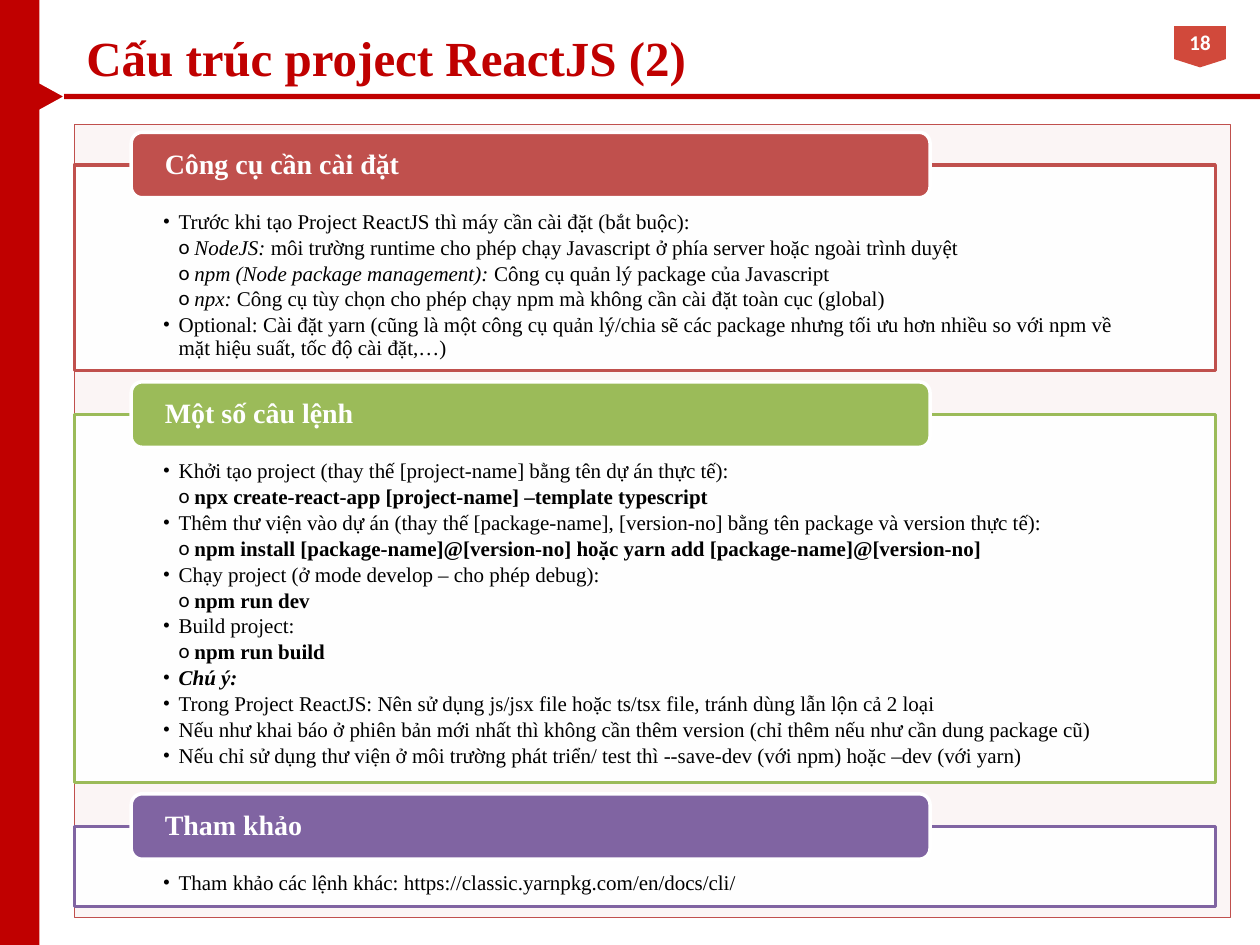
import pptx
import pptx.dml.color
import pptx.enum.shapes
import pptx.enum.text
import pptx.oxml.ns
import pptx.util
from lxml import etree

Pt = pptx.util.Pt
RGBColor = pptx.dml.color.RGBColor
SHAPE = pptx.enum.shapes.MSO_SHAPE
ANCHOR = pptx.enum.text.MSO_ANCHOR
ALIGN = pptx.enum.text.PP_ALIGN
qn = pptx.oxml.ns.qn

WHITE = RGBColor(0xFF, 0xFF, 0xFF)
BLACK = RGBColor(0, 0, 0)
CRIMSON = RGBColor(0xC0, 0, 0)
BADGE_RED = RGBColor(0xD1, 0x49, 0x3B)
PINK = RGBColor(0xF2, 0xDC, 0xDB)
RED = RGBColor(0xC0, 0x50, 0x4D)
GREEN = RGBColor(0x9B, 0xBB, 0x59)
PURPLE = RGBColor(0x80, 0x64, 0xA2)

SERIF = "Times New Roman"
SANS = "Calibri"
PANEL_LEFT, PANEL_WIDTH, PANEL_GAP = 42.5, 652, 25.2
HEADING_RISE = 18.7
BULLETS = {0: "•", 1: "o"}
BOLD = {"bold": True}
ITALIC = {"italic": True}

# Each section: heading, colour, panel height, items of (level, [(text, format), ...])
SECTIONS = [
    ("Công cụ cần cài đặt", RED, 117.4, [
        (0, [("Trước khi tạo Project ReactJS thì máy cần cài đặt (bắt buộc):", {})]),
        (1, [("NodeJS: ", ITALIC),
             ("môi trường runtime cho phép chạy Javascript ở phía server hoặc ngoài trình duyệt", {})]),
        (1, [("npm (Node package management): ", ITALIC),
             ("Công cụ quản lý package của Javascript", {})]),
        (1, [("npx: ", ITALIC),
             ("Công cụ tùy chọn cho phép chạy npm mà không cần cài đặt toàn cục (global)", {})]),
        (0, [("Optional: Cài đặt yarn (cũng là một công cụ quản lý/chia sẽ các package nhưng "
              "tối ưu hơn nhiều so với npm về mặt hiệu suất, tốc độ cài đặt,…)", {})]),
    ]),
    ("Một số câu lệnh", GREEN, 210.2, [
        (0, [("Khởi tạo project (thay thế [project-name] bằng tên dự án thực tế):", {})]),
        (1, [("npx create-react-app [project-name] –template typescript", BOLD)]),
        (0, [("Thêm thư viện vào dự án (thay thế [package-name], [version-no] "
              "bằng tên package và version thực tế):", {})]),
        (1, [("npm install [package-name]@[version-no] hoặc "
              "yarn add [package-name]@[version-no]", BOLD)]),
        (0, [("Chạy project (ở mode develop – cho phép debug):", {})]),
        (1, [("npm run dev", BOLD)]),
        (0, [("Build project:", {})]),
        (1, [("npm run build", BOLD)]),
        (0, [("Chú ý:", {"bold": True, "italic": True})]),
        (0, [("Trong Project ReactJS: Nên sử dụng js/jsx file hoặc ts/tsx file, "
              "tránh dùng lẫn lộn cả 2 loại", {})]),
        (0, [("Nếu như khai báo ở phiên bản mới nhất thì không cần thêm version "
              "(chỉ thêm nếu như cần dung package cũ)", {})]),
        (0, [("Nếu chỉ sử dụng thư viện ở môi trường phát triển/ test thì "
              "--save-dev (với npm) hoặc –dev (với yarn)", {})]),
    ]),
    ("Tham khảo", PURPLE, 45.8, [
        (0, [("Tham khảo các lệnh khác: https://classic.yarnpkg.com/en/docs/cli/", {})]),
    ]),
]


def add_box(slide, kind, left, top, width, height, fill, line=None, line_width=2, opacity=100):
    shape = slide.shapes.add_shape(kind, Pt(left), Pt(top), Pt(width), Pt(height))
    shape.shadow.inherit = False
    shape.fill.solid()
    shape.fill.fore_color.rgb = fill
    if opacity < 100:
        color = shape.fill._xPr.find(qn("a:solidFill"))[0]
        etree.SubElement(color, qn("a:alpha"), val=str(opacity * 1000))
    if line is None:
        shape.line.fill.background()
    else:
        shape.line.color.rgb = line
        shape.line.width = Pt(line_width)
    return shape


def set_frame(shape, anchor, left=7.2, top=3.6, right=7.2, bottom=3.6):
    frame = shape.text_frame
    frame.word_wrap = True
    frame.vertical_anchor = anchor
    frame.margin_left, frame.margin_top = Pt(left), Pt(top)
    frame.margin_right, frame.margin_bottom = Pt(right), Pt(bottom)
    return frame


def add_text(paragraph, text, size=12, font=SERIF, color=BLACK, bold=False, italic=False,
             align=ALIGN.LEFT):
    paragraph.alignment = align
    run = paragraph.add_run()
    run.text = text
    run.font.size = Pt(size)
    run.font.name = font
    run.font.color.rgb = color
    run.font.bold = bold
    run.font.italic = italic


def set_bullet(paragraph, level):
    paragraph.level = level
    paragraph.line_spacing = 0.9
    paragraph.space_after = Pt(1.8)
    properties = paragraph._p.get_or_add_pPr()
    properties.set("marL", str(Pt(9 * (level + 1))))
    properties.set("indent", str(Pt(-9)))
    etree.SubElement(properties, qn("a:buFont"), typeface=SANS if level else SERIF)
    etree.SubElement(properties, qn("a:buChar"), char=BULLETS[level])


def add_frame(slide):
    """Draw the backdrop, side bar, marker, page badge, rule and title."""
    add_box(slide, SHAPE.RECTANGLE, PANEL_LEFT, 71, 660.5, 453.3, PINK, RED, 0.5, opacity=26)
    marker = add_box(slide, SHAPE.ISOSCELES_TRIANGLE, 17.2, 45.2, 22, 20, CRIMSON, WHITE)
    marker.rotation = 90
    add_box(slide, SHAPE.RECTANGLE, 0, 0, 22.6, 540, CRIMSON)
    badge = add_box(slide, SHAPE.FLOWCHART_OFFPAGE_CONNECTOR, 671, 15, 29.5, 23.5, BADGE_RED)
    number = set_frame(badge, ANCHOR.MIDDLE, 0, 0, 0, 1).paragraphs[0]
    add_text(number, "18", font=SANS, color=WHITE, bold=True, align=ALIGN.CENTER)
    add_box(slide, SHAPE.RECTANGLE, 36.7, 53.7, 683.3, 3, CRIMSON)
    title = slide.shapes.add_textbox(Pt(PANEL_LEFT), Pt(12), Pt(PANEL_WIDTH), Pt(41))
    add_text(set_frame(title, ANCHOR.TOP, left=6.8).paragraphs[0], "Cấu trúc project ReactJS (2)",
             size=28, color=CRIMSON, bold=True)


def add_section(slide, top, heading, color, height, items):
    panel = add_box(slide, SHAPE.RECTANGLE, PANEL_LEFT, top, PANEL_WIDTH, height,
                    WHITE, color, opacity=90)
    frame = set_frame(panel, ANCHOR.TOP, 50.6, 26.4, 50.6, 2)
    for index, (level, runs) in enumerate(items):
        paragraph = frame.add_paragraph() if index else frame.paragraphs[0]
        set_bullet(paragraph, level)
        for text, style in runs:
            add_text(paragraph, text, **style)
    tab = add_box(slide, SHAPE.ROUNDED_RECTANGLE, 75, top - HEADING_RISE, 456.5, 37.4,
                  color, WHITE)
    label = set_frame(tab, ANCHOR.MIDDLE, 17.4, 0, 17.4, 0).paragraphs[0]
    label.line_spacing = 0.9
    add_text(label, heading, size=16, color=WHITE, bold=True)


def main():
    presentation = pptx.Presentation()
    presentation.slide_width, presentation.slide_height = Pt(720), Pt(540)
    slide = presentation.slides.add_slide(presentation.slide_layouts[6])
    add_frame(slide)
    top = 94.3
    for heading, color, height, items in SECTIONS:
        add_section(slide, top, heading, color, height, items)
        top += height + PANEL_GAP
    presentation.save("out.pptx")


if __name__ == "__main__":
    main()
